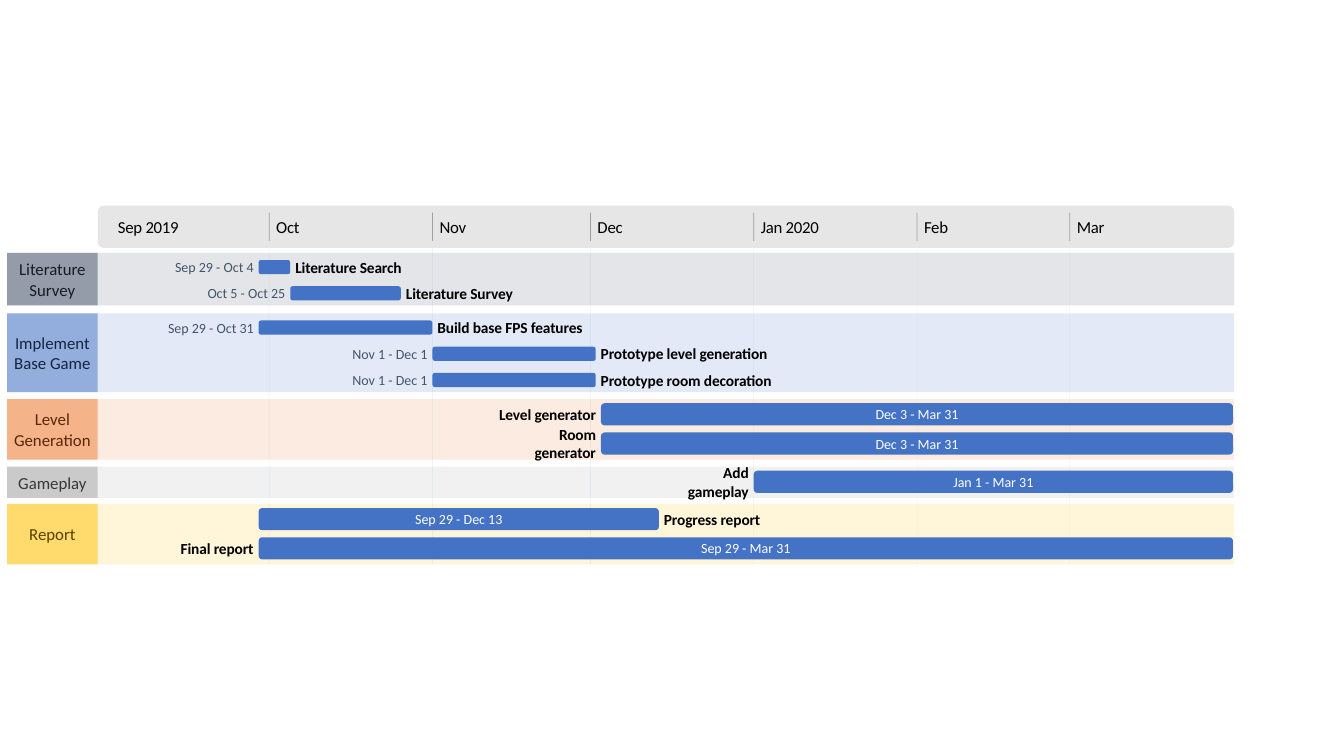
from dataclasses import dataclass

from lxml.etree import SubElement
from pptx import Presentation
from pptx.dml.color import RGBColor
from pptx.enum.shapes import MSO_CONNECTOR, MSO_SHAPE
from pptx.enum.text import MSO_ANCHOR, PP_ALIGN
from pptx.oxml.ns import qn
from pptx.util import Inches, Pt

BLACK = RGBColor(0x00, 0x00, 0x00)
WHITE = RGBColor(0xFF, 0xFF, 0xFF)
SLATE = RGBColor(0x44, 0x54, 0x6A)
BLUE = RGBColor(0x44, 0x72, 0xC4)
LIGHT_BLUE = RGBColor(0x5B, 0x9B, 0xD5)
ORANGE = RGBColor(0xED, 0x7D, 0x31)
GRAY = RGBColor(0xA5, 0xA5, 0xA5)
GOLD = RGBColor(0xFF, 0xC0, 0x00)
HEADER_GRAY = RGBColor(0xE7, 0xE6, 0xE6)
DARK_SLATE = RGBColor(0x16, 0x1C, 0x23)
DARK_BLUE = RGBColor(0x15, 0x25, 0x42)
DARK_ORANGE = RGBColor(0x58, 0x27, 0x07)
DARK_GRAY = RGBColor(0x37, 0x37, 0x37)
DARK_GOLD = RGBColor(0x55, 0x40, 0x00)

# Time scale: days are counted from October 1
MONTH_STARTS = {"Sep": -30, "Oct": 0, "Nov": 31, "Dec": 61, "Jan": 92, "Feb": 123, "Mar": 152}
OCTOBER_LEFT, MARCH_LEFT = 2.67, 10.61
DAY_WIDTH = (MARCH_LEFT - OCTOBER_LEFT) / MONTH_STARTS["Mar"]
MONTH_LABELS = ["Oct", "Nov", "Dec", "Jan 2020", "Feb", "Mar"]

BAND_LEFT, BAND_WIDTH, LABEL_WIDTH = 0.07, 12.17, 0.9
HEADER_TOP, HEADER_HEIGHT = 2.04, 0.42
LABEL_GAP = 0.05

MONTH_FORMAT = {"size": Pt(12), "color": BLACK, "spacing": -20}
NAME_FORMAT = {"size": Pt(11), "color": BLACK, "bold": True, "spacing": -10}
DATE_FORMAT = {"size": Pt(10), "color": SLATE}
BAR_FORMAT = {"size": Pt(10), "color": WHITE}


@dataclass
class RowStyle:
    """Measures of the task rows in one group."""
    bar_height: float
    pitch: float
    first_center: float
    padding: float


THIN = RowStyle(0.14, 0.26, 0.14, 0.0)
THICK = RowStyle(0.22, 0.29, 0.15, 0.02)

# name, top, color, text color, row style, tasks (name, dates, side of the name)
GROUPS = [
    ("Literature Survey", 2.51, SLATE, DARK_SLATE, THIN, [
        ("Literature Search", "Sep 29 - Oct 4", "right"),
        ("Literature Survey", "Oct 5 - Oct 25", "right")]),
    ("Implement Base Game", 3.11, BLUE, DARK_BLUE, THIN, [
        ("Build base FPS features", "Sep 29 - Oct 31", "right"),
        ("Prototype level generation", "Nov 1 - Dec 1", "right"),
        ("Prototype room decoration", "Nov 1 - Dec 1", "right")]),
    ("Level Generation", 3.96, ORANGE, DARK_ORANGE, THICK, [
        ("Level generator", "Dec 3 - Mar 31", "left"),
        ("Room generator", "Dec 3 - Mar 31", "left")]),
    ("Gameplay", 4.63, GRAY, DARK_GRAY, THICK, [
        ("Add gameplay", "Jan 1 - Mar 31", "left")]),
    ("Report", 5.0, GOLD, DARK_GOLD, THICK, [
        ("Progress report", "Sep 29 - Dec 13", "right"),
        ("Final report", "Sep 29 - Mar 31", "left")]),
]


def day_left(day):
    """Return the horizontal place of a day counted from October 1."""
    return OCTOBER_LEFT + day * DAY_WIDTH


def date_span(dates):
    """Return left and right of a span such as 'Sep 29 - Oct 4', last day included."""
    first, last = [MONTH_STARTS[month] + int(day) - 1
                   for month, day in (date.split() for date in dates.split(" - "))]
    return day_left(first), day_left(last + 1)


def set_alpha(parent, percent):
    """Make the solid colour below an XML element partly transparent."""
    color = next(parent.iter(qn("a:srgbClr")))
    SubElement(color, qn("a:alpha"), val=str(percent * 1000))


def write_text(shape, text, text_format, align=PP_ALIGN.CENTER, wrap=True):
    """Write one formatted paragraph without margins."""
    frame_format = {"margin_left": 0, "margin_right": 0, "margin_top": 0, "margin_bottom": 0,
                    "vertical_anchor": MSO_ANCHOR.MIDDLE, "word_wrap": wrap}
    for name, value in frame_format.items():
        setattr(shape.text_frame, name, value)
    paragraph = shape.text_frame.paragraphs[0]
    paragraph.alignment = align
    run = paragraph.add_run()
    run.text = text
    run.font.name = "Calibri"
    for name, value in text_format.items():
        if name == "color":
            run.font.color.rgb = value
        elif name == "spacing":
            run.font._element.set("spc", str(value))
        else:
            setattr(run.font, name, value)


def add_block(slide, kind, left, top, width, height, color, alpha=None):
    """Add a filled shape without line or shadow."""
    shape = slide.shapes.add_shape(kind, Inches(left), Inches(top), Inches(width), Inches(height))
    shape.shadow.inherit = False
    shape.line.fill.background()
    shape.fill.solid()
    shape.fill.fore_color.rgb = color
    if alpha:
        set_alpha(shape._element.spPr, alpha)
    return shape


def add_label(slide, text, left, center, width, text_format, align, wrap=True):
    """Add a text box centred on a height."""
    height = 0.2
    box = slide.shapes.add_textbox(Inches(left), Inches(center - height / 2),
                                   Inches(width), Inches(height))
    write_text(box, text, text_format, align, wrap)


def add_side_label(slide, text, span, side, center, letter_width, text_format):
    """Add a label that touches the left or right end of a bar."""
    width = len(text) * letter_width + 0.02
    if side == "left":
        add_label(slide, text, span[0] - LABEL_GAP - width, center, width,
                  text_format, PP_ALIGN.RIGHT)
    else:
        add_label(slide, text, span[1] + LABEL_GAP, center, width, text_format, PP_ALIGN.LEFT)


def add_month_lines(slide, top, bottom, color, width, alpha):
    """Add a vertical line at the start of each month after September."""
    for day in list(MONTH_STARTS.values())[1:]:
        left = Inches(day_left(day))
        line = slide.shapes.add_connector(MSO_CONNECTOR.STRAIGHT, left, Inches(top),
                                          left, Inches(bottom))
        line.line.color.rgb = color
        line.line.width = Pt(width)
        set_alpha(line._element.spPr, alpha)
        SubElement(line._element.spPr, qn("a:effectLst"))


def add_header(slide):
    """Add the month header."""
    header_left = BAND_LEFT + LABEL_WIDTH
    header = add_block(slide, MSO_SHAPE.ROUNDED_RECTANGLE, header_left, HEADER_TOP,
                       BAND_WIDTH - LABEL_WIDTH, HEADER_HEIGHT, HEADER_GRAY)
    header.adjustments[0] = 0.14
    places = [header_left + 0.2] + [day_left(day) + 0.07
                                    for day in list(MONTH_STARTS.values())[1:]]
    for label, left in zip(["Sep 2019"] + MONTH_LABELS, places):
        add_label(slide, label, left, HEADER_TOP + HEADER_HEIGHT / 2, 0.8,
                  MONTH_FORMAT, PP_ALIGN.LEFT)


def add_band(slide, name, top, color, text_color, style, tasks):
    """Add the pale band of a group and its named block."""
    height = len(tasks) * style.pitch + style.padding
    add_block(slide, MSO_SHAPE.RECTANGLE, BAND_LEFT, top, BAND_WIDTH, height, color, 15)
    block = add_block(slide, MSO_SHAPE.RECTANGLE, BAND_LEFT, top, LABEL_WIDTH, height, color, 50)
    write_text(block, name, {"size": Pt(12), "color": text_color})


def add_task(slide, name, dates, side, center, style):
    """Add a task bar with its name and dates."""
    span = date_span(dates)
    bar = add_block(slide, MSO_SHAPE.ROUNDED_RECTANGLE, span[0], center - style.bar_height / 2,
                    span[1] - span[0], style.bar_height, BLUE)
    add_side_label(slide, name, span, side, center, 0.07, NAME_FORMAT)
    if style is THIN:
        add_side_label(slide, dates, span, "left", center, 0.06, DATE_FORMAT)
    else:
        write_text(bar, dates, BAR_FORMAT)


def main():
    """Build the project timeline."""
    presentation = Presentation()
    presentation.slide_width, presentation.slide_height = Inches(13.33), Inches(7.5)
    slide = presentation.slides.add_slide(presentation.slide_layouts[6])
    for group in GROUPS:
        add_band(slide, *group)
    add_month_lines(slide, HEADER_TOP + HEADER_HEIGHT, 5.6, LIGHT_BLUE, 0.3, 15)
    add_header(slide)
    for _, top, _, _, style, tasks in GROUPS:
        for row, task in enumerate(tasks):
            add_task(slide, *task, top + style.first_center + row * style.pitch, style)
    add_month_lines(slide, HEADER_TOP + 0.07, HEADER_TOP + 0.35, BLACK, 0.5, 30)
    presentation.save("out.pptx")


main()
